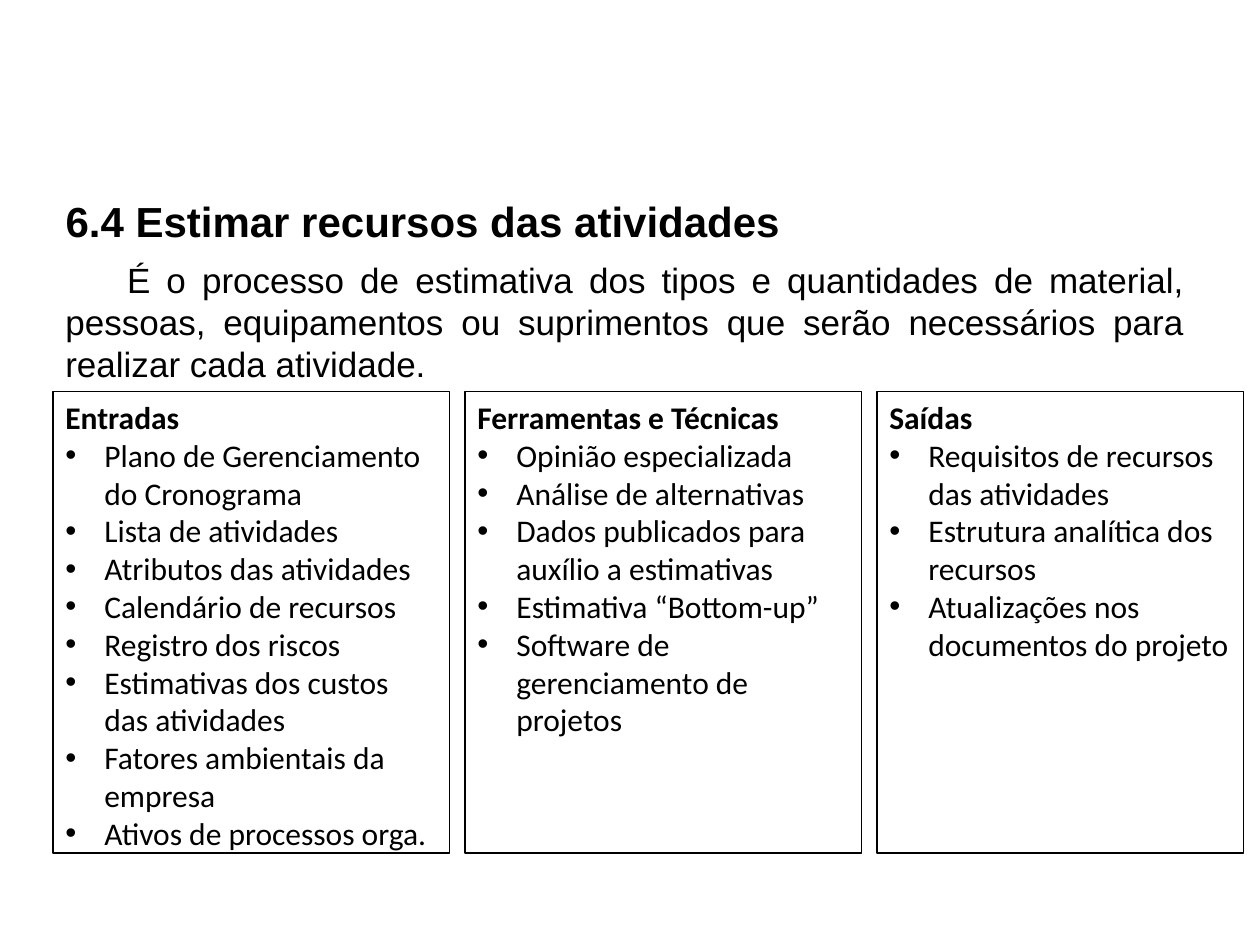
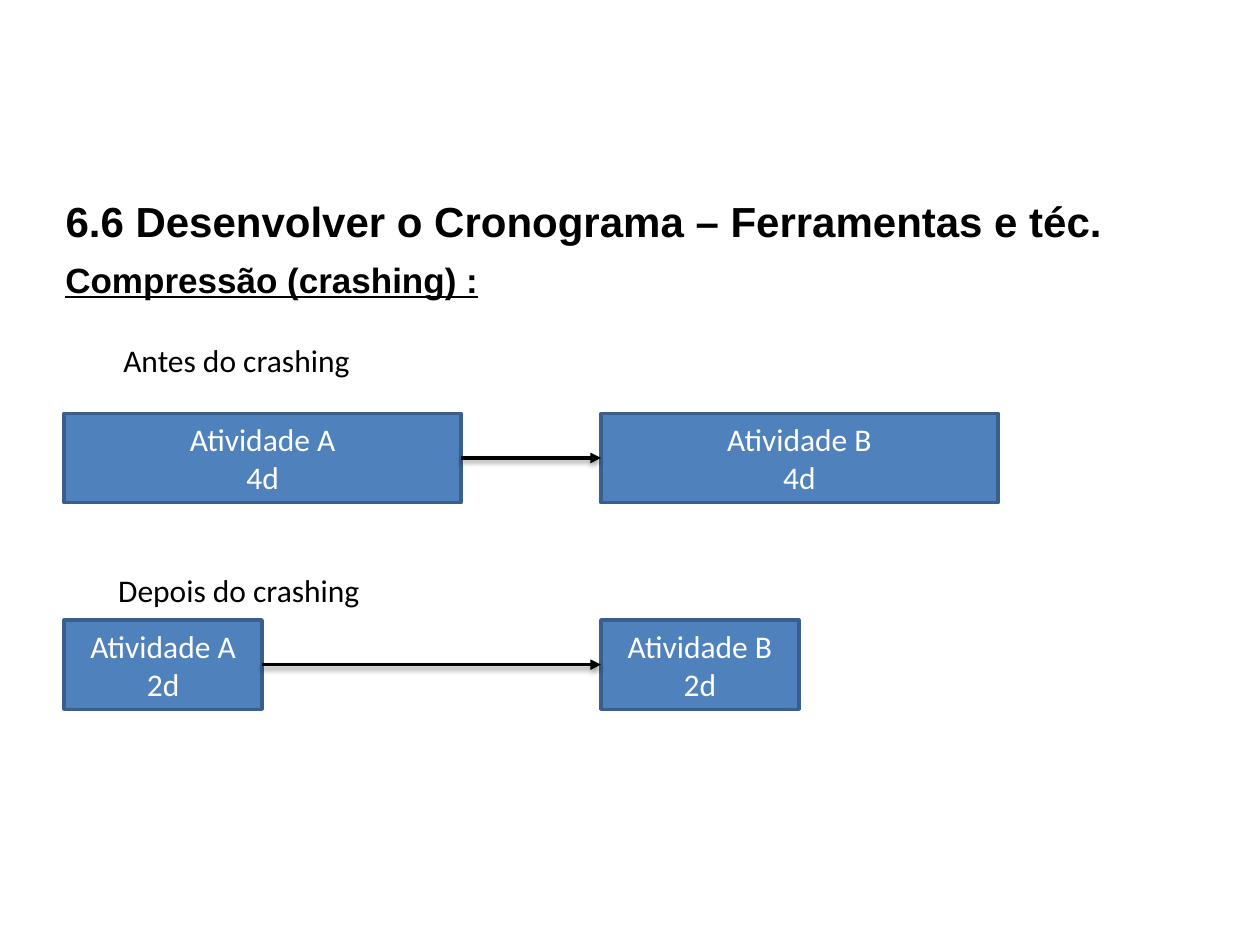
from lxml.etree import SubElement as Sub
from pptx import Presentation
from pptx.dml.color import RGBColor as Rgb
from pptx.enum.shapes import MSO_CONNECTOR as Conn, MSO_SHAPE as Shape
from pptx.enum.text import MSO_ANCHOR as Anchor, PP_ALIGN as Align
from pptx.oxml.ns import qn
from pptx.util import Pt

PX = 9144  # 100 px to the inch
HUES = {"ink": "000000", "white": "FFFFFF", "blue": "4F81BD", "edge": "3A5F8C"}
HEAD, BODY = "Arial", "Calibri"


def hue(name):
    return Rgb.from_string(HUES[name])


def write(frame, text, size=18, font=BODY, color="ink", bold=False,
          line=False, align=Align.LEFT, indent=0, bullet=False):
    """Add one paragraph, filling the empty first one if there is one."""
    para = frame.add_paragraph() if frame.text else frame.paragraphs[0]
    para.alignment = align
    para.space_before = Pt(0)
    props = para._p.get_or_add_pPr()
    if indent:
        props.set("indent", str(indent * PX))
    if bullet:
        props.set("marL", str(31 * PX))
        props.set("indent", str(-31 * PX))
        Sub(props, qn("a:buFont"), typeface="Arial")
        Sub(props, qn("a:buChar"), char="•")
    run = para.add_run()
    run.text = text
    face = run.font
    face.size, face.name = Pt(size), font
    face.bold, face.underline = bold, line
    face.color.rgb = hue(color)


class Deck:
    def __init__(self):
        self.show = Presentation()
        self.show.slide_width, self.show.slide_height = 1000 * PX, 750 * PX
        self.slide = None

    def page(self, title):
        self.slide = self.show.slides.add_slide(self.show.slide_layouts[5])
        head = self.slide.shapes.title
        head.left, head.top, head.width, head.height = (
            n * PX for n in (42, 150, 923, 50))
        head.text_frame.vertical_anchor = Anchor.TOP
        write(head.text_frame, title, size=24, font=HEAD, bold=True)

    def label(self, x, y, w, h, text, wrap=True, **form):
        box = self.slide.shapes.add_textbox(x * PX, y * PX, w * PX, h * PX)
        box.text_frame.word_wrap = wrap
        write(box.text_frame, text, **form)

    def rect(self, x, y, w, h, edge, width, fill=None):
        box = self.slide.shapes.add_shape(
            Shape.RECTANGLE, x * PX, y * PX, w * PX, h * PX)
        box.shadow.inherit = False
        if fill:
            box.fill.solid()
            box.fill.fore_color.rgb = hue(fill)
        else:
            box.fill.background()
        box.line.color.rgb = hue(edge)
        box.line.width = Pt(width)
        box.text_frame.word_wrap = True
        return box

    def panel(self, x, w, head, items):
        box = self.rect(x, 311, w, 366, "ink", 0.75)
        box.text_frame.vertical_anchor = Anchor.TOP
        write(box.text_frame, head, bold=True)
        for item in items:
            write(box.text_frame, item, bullet=True)

    def task(self, x, y, w, lines):
        box = self.rect(x, y, w, 71, "edge", 2, "blue")
        box.text_frame.vertical_anchor = Anchor.MIDDLE
        for text in lines:
            write(box.text_frame, text, color="white", align=Align.CENTER)
        return box

    def arrow(self, start, end):
        """Join the right side of start to the left side of end."""
        link = self.slide.shapes.add_connector(Conn.STRAIGHT, 0, 0, 0, 0)
        link.begin_connect(start, 3)
        link.end_connect(end, 1)
        link.line.color.rgb = hue("ink")
        link.line.width = Pt(2)
        Sub(link.line._get_or_add_ln(), qn("a:tailEnd"), type="triangle")
        effect = Sub(link._element.spPr, qn("a:effectLst"))
        shade = Sub(effect, qn("a:outerShdw"), blurRad=str(Pt(3.1)),
                    dist=str(Pt(1.6)), dir="5400000", rotWithShape="0")
        color = Sub(shade, qn("a:srgbClr"), val=HUES["ink"])
        Sub(color, qn("a:alpha"), val="38000")


def resources(deck):
    deck.page("6.4 Estimar recursos das atividades")
    deck.label(42, 200, 908, 111,
               "É o processo de estimativa dos tipos e quantidades de material, "
               "pessoas, equipamentos ou suprimentos que serão necessários para "
               "realizar cada atividade.",
               size=20, font=HEAD, align=Align.JUSTIFY, indent=49)
    panels = [
        (315, "Entradas", [
            "Plano de Gerenciamento do Cronograma", "Lista de atividades",
            "Atributos das atividades", "Calendário de recursos",
            "Registro dos riscos", "Estimativas dos custos das atividades",
            "Fatores ambientais da empresa", "Ativos de processos orga."]),
        (315, "Ferramentas e Técnicas", [
            "Opinião especializada", "Análise de alternativas",
            "Dados publicados para auxílio a estimativas",
            "Estimativa “Bottom-up”", "Software de gerenciamento de projetos"]),
        (291, "Saídas", [
            "Requisitos de recursos das atividades",
            "Estrutura analítica dos recursos",
            "Atualizações nos documentos do projeto"]),
    ]
    x = 42
    for w, head, items in panels:
        deck.panel(x, w, head, items)
        x += w + 12


def crashing(deck):
    deck.page("6.6 Desenvolver o Cronograma – Ferramentas e téc.")
    deck.label(42, 200, 923, 44, "Compressão (crashing) :", size=20,
               font=HEAD, bold=True, line=True, align=Align.JUSTIFY)
    rows = [
        (328, 315, ["Atividade A", "4d"], ["Atividade B", "4d"]),
        (492, 157, ["Atividade A", "2d"], ["Atividade B 2d"]),
    ]
    for y, w, first, second in rows:
        deck.arrow(deck.task(51, y, w, first), deck.task(477, y, w, second))
    deck.label(88, 266, 202, 40, "Antes do crashing", wrap=False)
    deck.label(84, 448, 214, 40, "Depois do crashing", wrap=False)


def main():
    deck = Deck()
    resources(deck)
    crashing(deck)
    deck.show.save("out.pptx")


if __name__ == "__main__":
    main()
